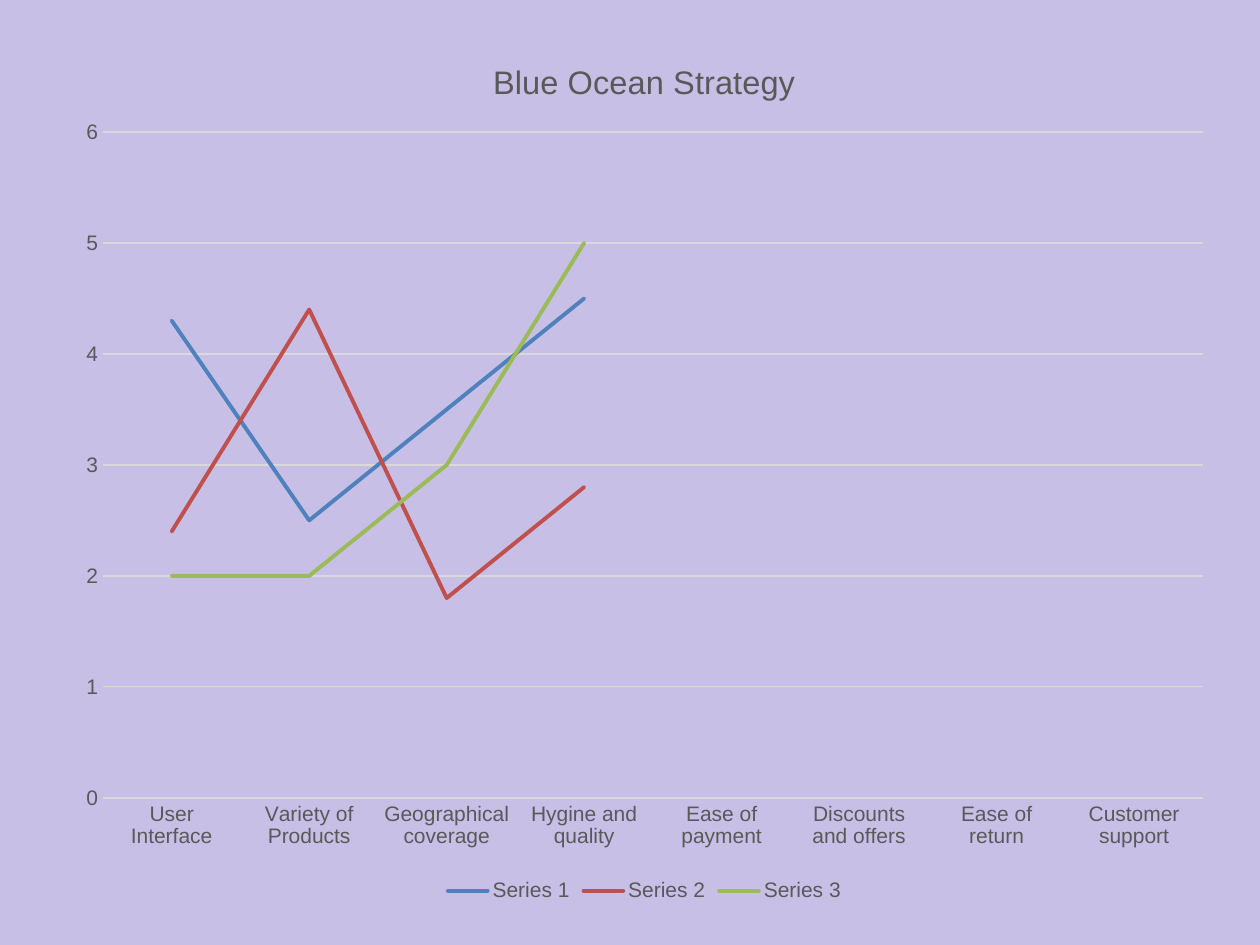
import pptx
import pptx.chart.data
import pptx.dml.color
import pptx.enum.chart
import pptx.oxml
import pptx.oxml.ns
import pptx.util

EMU_PER_PX = 914400 / 126
CHART_BOX = (63, 30, 1163, 877)
PLOT_BOX = (103, 132, 1100, 666)

CATEGORIES = [
    "User Interface", "Variety of Products", "Geographical coverage",
    "Hygine and quality", "Ease of payment", "Discounts and offers",
    "Ease of return", "Customer support",
]
SERIES = [
    ("Series 1", "4F81BD", [4.3, 2.5, 3.5, 4.5]),
    ("Series 2", "C0504D", [2.4, 4.4, 1.8, 2.8]),
    ("Series 3", "9BBB59", [2, 2, 3, 5]),
]


def px(length):
    return pptx.util.Emu(round(length * EMU_PER_PX))


def color(hex_text):
    return pptx.dml.color.RGBColor.from_string(hex_text)


class SlideBuilder:
    font_name = "Arial"
    text_color = "595959"
    grid_color = "D9D9D9"

    def __init__(self, page):
        self.page = page

    def background(self, hex_text):
        fill = self.page.background.fill
        fill.solid()
        fill.fore_color.rgb = color(hex_text)

    def style_font(self, font, size):
        font.name = self.font_name
        font.size = pptx.util.Pt(size)
        font.bold = False
        font.color.rgb = color(self.text_color)

    def style_line(self, line, hex_text, width):
        line.color.rgb = color(hex_text)
        line.width = pptx.util.Pt(width)

    def line_chart(self, title, categories, series_rows, box, plot_box):
        data = pptx.chart.data.CategoryChartData()
        data.categories = categories
        for name, _, values in series_rows:
            gaps = [None] * (len(categories) - len(values))
            data.add_series(name, values + gaps)
        chart = self.page.shapes.add_chart(
            pptx.enum.chart.XL_CHART_TYPE.LINE, *map(px, box), data
        ).chart
        self.style_font(chart.font, 12)

        para = chart.chart_title.text_frame.paragraphs[0]
        para.text = title
        self.style_font(para.font, 18.6)
        chart.chart_title.include_in_layout = False

        chart.has_legend = True
        chart.legend.position = pptx.enum.chart.XL_LEGEND_POSITION.BOTTOM
        chart.legend.include_in_layout = False
        self.style_font(chart.legend.font, 12)

        self.style_axes(chart)
        for series, (_, hex_text, _) in zip(chart.plots[0].series, series_rows):
            series.smooth = False
            series.marker.style = pptx.enum.chart.XL_MARKER_STYLE.NONE
            self.style_line(series.format.line, hex_text, 2.25)
            series.format.line._get_or_add_ln().set("cap", "rnd")
        self.place_plot(chart, box, plot_box)

    def style_axes(self, chart):
        for axis in (chart.category_axis, chart.value_axis):
            axis.major_tick_mark = pptx.enum.chart.XL_TICK_MARK.NONE
            axis.minor_tick_mark = pptx.enum.chart.XL_TICK_MARK.NONE
            self.style_font(axis.tick_labels.font, 12)
        self.style_line(chart.category_axis.format.line, self.grid_color, 0.75)

        value_axis = chart.value_axis
        value_axis.minimum_scale = 0
        value_axis.maximum_scale = 6
        value_axis.major_unit = 1
        value_axis.format.line.fill.background()
        self.style_line(value_axis.major_gridlines.format.line, self.grid_color, 0.75)

    def place_plot(self, chart, box, plot_box):
        """Fix the inner plot area, given in slide px, as fractions of the chart."""
        left, top, width, height = box
        plot_left, plot_top, plot_width, plot_height = plot_box
        fractions = {
            "x": (plot_left - left) / width,
            "y": (plot_top - top) / height,
            "w": plot_width / width,
            "h": plot_height / height,
        }
        modes = '<c:xMode val="edge"/><c:yMode val="edge"/>'
        sizes = "".join(f'<c:{key} val="{value:.4f}"/>' for key, value in fractions.items())
        layout = pptx.oxml.parse_xml(
            f'<c:layout {pptx.oxml.ns.nsdecls("c")}><c:manualLayout>'
            f'<c:layoutTarget val="inner"/>{modes}{sizes}</c:manualLayout></c:layout>'
        )
        plot_area = chart._chartSpace.chart.plotArea
        for old_layout in plot_area.findall(pptx.oxml.ns.qn("c:layout")):
            plot_area.remove(old_layout)
        plot_area.insert(0, layout)


def main():
    deck = pptx.Presentation()
    deck.slide_width, deck.slide_height = px(1260), px(945)
    builder = SlideBuilder(deck.slides.add_slide(deck.slide_layouts[6]))
    builder.background("C7BFE6")
    builder.line_chart("Blue Ocean Strategy", CATEGORIES, SERIES, CHART_BOX, PLOT_BOX)
    deck.save("out.pptx")


if __name__ == "__main__":
    main()
